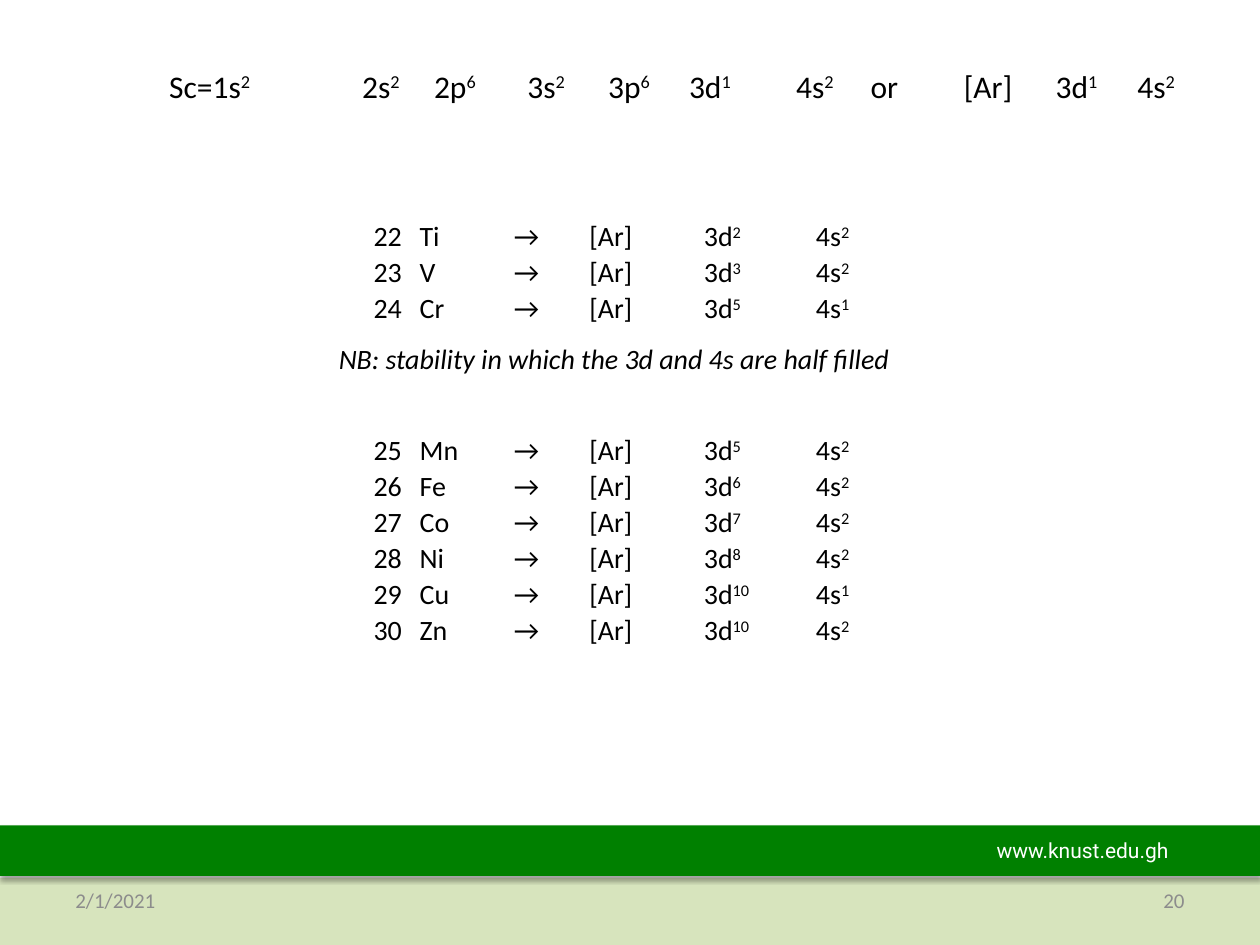
from lxml.etree import SubElement as Sub
from pptx import Presentation
from pptx.dml.color import RGBColor
from pptx.enum.shapes import MSO_SHAPE as Shape
from pptx.enum.text import MSO_ANCHOR as Anchor, PP_ALIGN as Align
from pptx.oxml.ns import qn
from pptx.util import Cm, Pt

BLACK = RGBColor(0, 0, 0)
WHITE = RGBColor(255, 255, 255)
GREY = RGBColor(0x8C, 0x8C, 0x8C)
GREEN = RGBColor(0, 0x80, 0)
PALE = RGBColor(0xD7, 0xE4, 0xBD)

SCAND = ["Sc=1s^2", "2s^2", "2p^6", "3s^2", "3p^6", "3d^1", "4s^2",
         "or", "[Ar]", "3d^1", "4s^2"]
METALS = [("Ti", 2, 2), ("V", 3, 2), ("Cr", 5, 1), None, ("Mn", 5, 2),
          ("Fe", 6, 2), ("Co", 7, 2), ("Ni", 8, 2), ("Cu", 10, 1),
          ("Zn", 10, 2)]


def add_run(para, text, size, color=BLACK, face="Calibri", slant=None):
    run = para.add_run()
    run.text = text
    font = run.font
    font.name, font.size, font.italic = face, Pt(size), slant
    font.color.rgb = color
    return run


def add_bar(slide, top, height, color):
    bar = slide.shapes.add_shape(
        Shape.RECTANGLE, 0, Cm(top), Cm(25.4), Cm(height))
    bar.fill.solid()
    bar.fill.fore_color.rgb = color
    bar.line.fill.background()
    bar.shadow.inherit = False
    glow = Sub(bar._element.spPr.find(qn("a:effectLst")), qn("a:outerShdw"),
               blurRad=str(Pt(3.1)), dist=str(Pt(1.8)), dir="5400000",
               rotWithShape="0")
    Sub(Sub(glow, qn("a:srgbClr"), val="000000"), qn("a:alpha"), val="35000")


def add_note(slide, text, place, size, color, face="Calibri", slant=None,
             align=Align.LEFT, anchor=Anchor.TOP, space=1.0):
    frame = slide.shapes.add_textbox(*map(Cm, place)).text_frame
    frame.word_wrap = True
    frame.vertical_anchor = anchor
    para = frame.paragraphs[0]
    para.alignment, para.line_spacing = align, space
    add_run(para, text, size, color, face, slant)


def fill_cell(cell, text, size, align=Align.LEFT, anchor=Anchor.BOTTOM):
    cell.vertical_anchor = anchor
    para = cell.text_frame.paragraphs[0]
    para.alignment, para.line_spacing = align, 1.07
    base, _, power = text.partition("^")
    if base:
        add_run(para, base, size)
    if power:
        run = add_run(para, power, size)
        run._r.get_or_add_rPr().set("baseline", "30000")


def add_grid(slide, left, top, widths, heights):
    grid = slide.shapes.add_table(
        len(heights), len(widths), Cm(left), Cm(top),
        Cm(sum(widths)), Cm(sum(heights))).table
    grid.first_row = grid.horz_banding = False
    for col, width in zip(grid.columns, widths):
        col.width = Cm(width)
    for row, height in zip(grid.rows, heights):
        row.height = Cm(height)
    for cell in grid.iter_cells():
        cell.fill.background()
        cell.margin_left = cell.margin_right = Cm(0.18)
        cell.margin_top = cell.margin_bottom = 0
    return grid


def add_scand(slide):
    widths = [3.89, 1.45, 1.88, 1.63, 1.63, 2.16, 1.5, 1.88, 1.85, 1.65, 1.5]
    grid = add_grid(slide, 3.23, 1.32, widths, [0.79])
    for col, text in enumerate(SCAND):
        mid = text.startswith("2p")
        fill_cell(grid.cell(0, col), text, 18,
                  Align.JUSTIFY if mid else Align.LEFT,
                  Anchor.MIDDLE if mid else Anchor.BOTTOM)


def add_metals(slide):
    heights = [0.72 if metal else 2.14 for metal in METALS]
    grid = add_grid(slide, 6.58, 4.39,
                    [1.7, 1.9, 1.52, 2.31, 2.26, 1.88], heights)
    number = 22
    for row, metal in enumerate(METALS):
        if metal is None:
            grid.cell(row, 0).merge(grid.cell(row, 5))
            continue
        name, d, s = metal
        texts = [str(number), name, "→", "[Ar]", f"3d^{d}", f"4s^{s}"]
        for col, text in enumerate(texts):
            fill_cell(grid.cell(row, col), text, 16,
                      Align.LEFT if col else Align.RIGHT)
        number += 1


def main():
    deck = Presentation()
    deck.slide_width, deck.slide_height = Cm(25.4), Cm(19.05)
    slide = deck.slides.add_slide(deck.slide_layouts[6])
    add_bar(slide, 17.7, 1.35, PALE)
    add_bar(slide, 16.64, 1.02, GREEN)
    add_note(slide, "www.knust.edu.gh", (19.84, 16.76, 4.29, 0.77), 12,
             WHITE, "Roboto")
    add_scand(slide)
    add_metals(slide)
    add_note(slide, "NB: stability in which the 3d and 4s are half filled",
             (6.58, 6.71, 13.26, 0.94), 16, BLACK, slant=True, space=1.07)
    add_note(slide, "2/1/2021", (1.27, 17.65, 5.93, 1.01), 12, GREY,
             anchor=Anchor.MIDDLE)
    add_note(slide, "20", (18.2, 17.65, 5.93, 1.01), 12, GREY,
             align=Align.RIGHT, anchor=Anchor.MIDDLE)
    deck.save("out.pptx")


if __name__ == "__main__":
    main()
